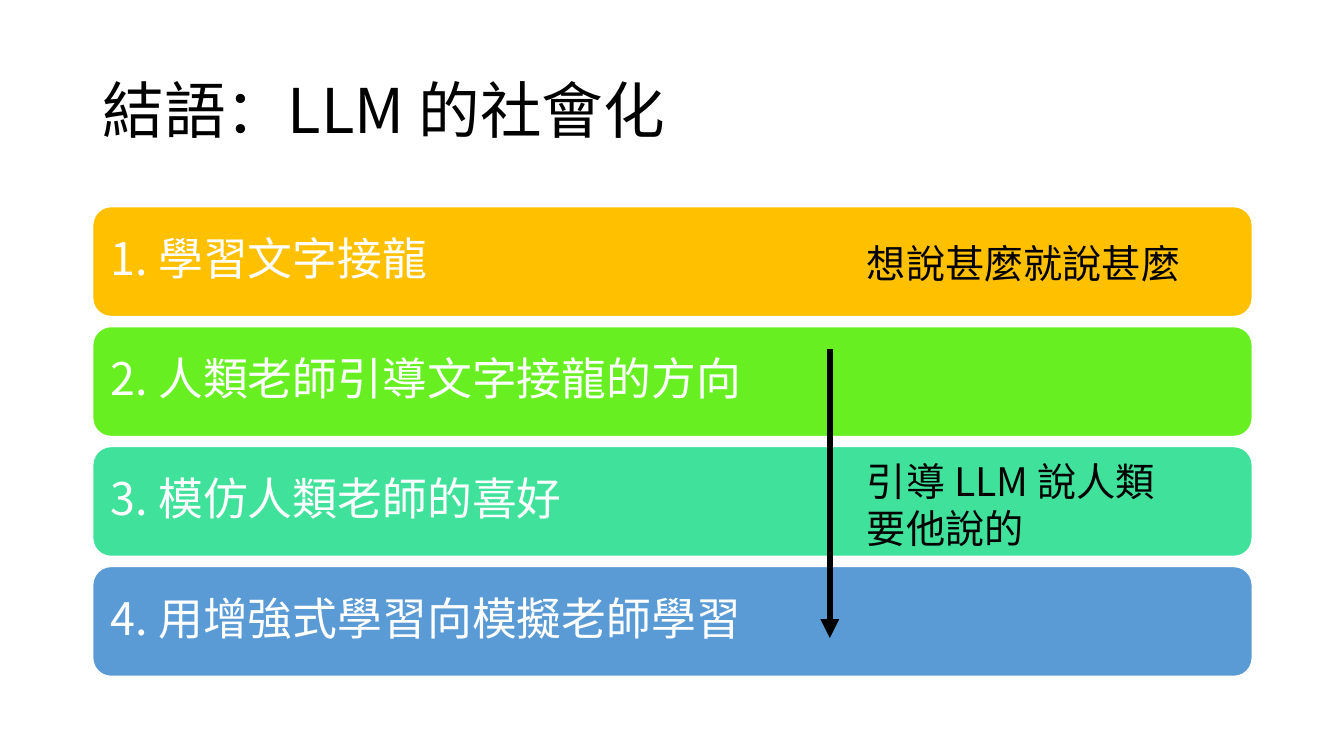
import pptx
import pptx.util
import pptx.dml.color
import pptx.enum.shapes
import pptx.enum.text
import pptx.oxml.ns
import lxml.etree

Inches = pptx.util.Inches
Pt = pptx.util.Pt
qn = pptx.oxml.ns.qn
FONT = "Noto Sans CJK SC"


def rgb(value):
    return pptx.dml.color.RGBColor.from_string(value)


def add_text(s, text, left, top, width, height, size, color="000000"):
    sp = s.shapes.add_textbox(Inches(left), Inches(top), Inches(width), Inches(height))
    tf = sp.text_frame
    tf.word_wrap = True
    p = tf.paragraphs[0]
    r = p.add_run()
    r.text = text
    r.font.size = Pt(size)
    r.font.name = FONT
    r.font.color.rgb = rgb(color)
    ea = lxml.etree.SubElement(r.font._element, qn("a:ea"))
    ea.set("typeface", FONT)
    return tf


prs = pptx.Presentation()
prs.slide_width = Inches(13.33)
prs.slide_height = Inches(7.5)
s = prs.slides.add_slide(prs.slide_layouts[6])

tf = add_text(s, "結語：LLM 的社會化", 0.92, 0.4, 11.5, 1.45, 44)
tf.vertical_anchor = pptx.enum.text.MSO_ANCHOR.MIDDLE
tf.paragraphs[0].line_spacing = 0.9

steps = [
    ("1. 學習文字接龍", "FFC000"),
    ("2. 人類老師引導文字接龍的方向", "67EF21"),
    ("3. 模仿人類老師的喜好", "3FE19B"),
    ("4. 用增強式學習向模擬老師學習", "5B9BD5"),
]
for i, (label, color) in enumerate(steps):
    top = 2.05 + i * 1.19
    bar = s.shapes.add_shape(
        pptx.enum.shapes.MSO_SHAPE.ROUNDED_RECTANGLE,
        Inches(0.92), Inches(top), Inches(11.5), Inches(1.09),
    )
    bar.shadow.inherit = False
    bar.fill.solid()
    bar.fill.fore_color.rgb = rgb(color)
    bar.line.color.rgb = rgb("FFFFFF")
    bar.line.width = Pt(1)

    tf = add_text(s, label, 0.97, top + 0.05, 11.39, 0.98, 32, "FFFFFF")
    tf.vertical_anchor = pptx.enum.text.MSO_ANCHOR.MIDDLE
    tf.margin_left = tf.margin_right = Inches(0.13)
    tf.margin_top = tf.margin_bottom = Inches(0.13)
    p = tf.paragraphs[0]
    p.line_spacing = 0.9
    p.space_after = Pt(11)

add_text(s, "想說甚麼就說甚麼", 8.5, 2.33, 3.42, 0.57, 28)

arrow = s.shapes.add_connector(
    pptx.enum.shapes.MSO_CONNECTOR.STRAIGHT,
    Inches(8.23), Inches(3.46), Inches(8.23), Inches(6.33),
)
arrow.line.color.rgb = rgb("000000")
arrow.line.width = Pt(4.5)
tail = lxml.etree.SubElement(arrow.line._get_or_add_ln(), qn("a:tailEnd"))
tail.set("type", "triangle")
lxml.etree.SubElement(arrow._element.spPr, qn("a:effectLst"))

add_text(s, "引導 LLM 說人類要他說的", 8.5, 4.49, 3.42, 1.04, 28)

prs.save("out.pptx")
